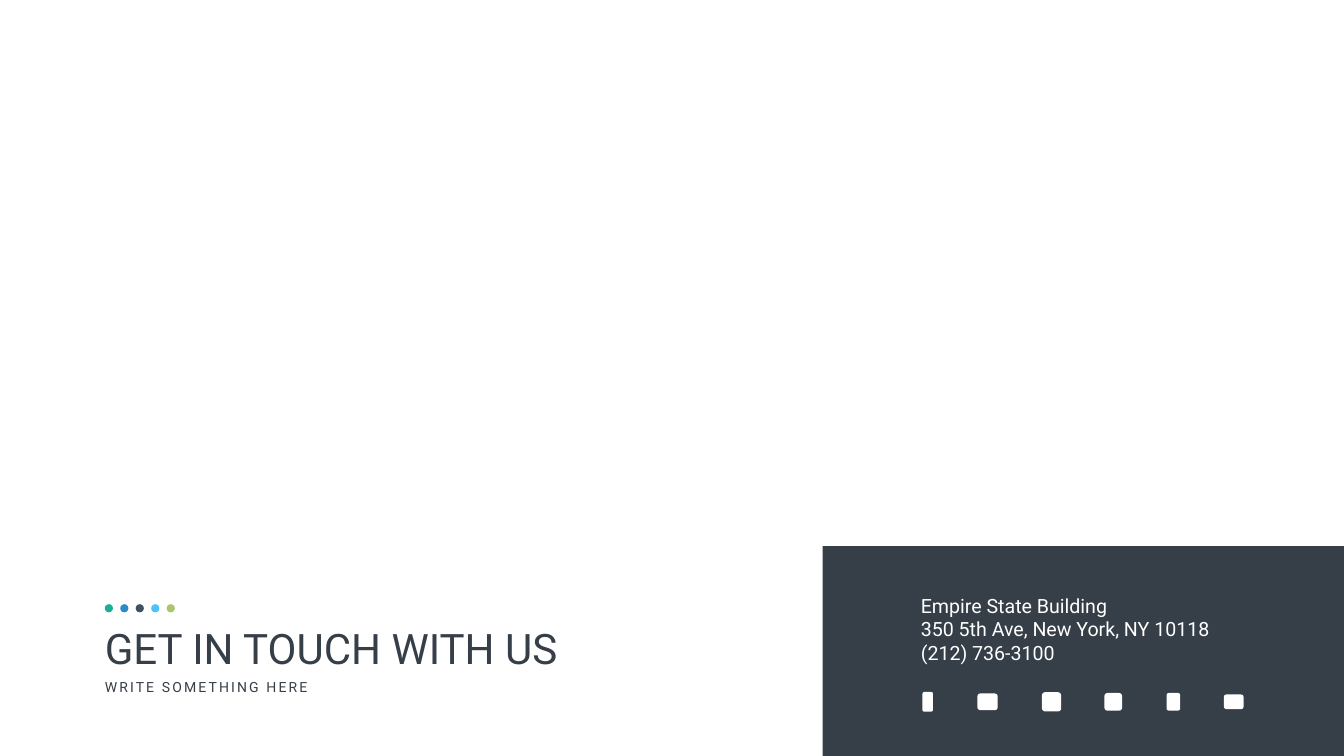
from pptx import Presentation
from pptx.dml.color import RGBColor
from pptx.enum.shapes import MSO_SHAPE
from pptx.util import Cm, Pt

DARK = "363E48"
WHITE = "FFFFFF"


def add_filled(kind, x, y, w, h, color):
    sp = s.shapes.add_shape(kind, Cm(x), Cm(y), Cm(w), Cm(h))
    sp.shadow.inherit = False
    sp.fill.solid()
    sp.fill.fore_color.rgb = RGBColor.from_string(color)
    sp.line.fill.background()


def add_text(x, y, w, h, lines, size, color, spacing=0, wrap=True):
    """Add a text box with one paragraph per line; spacing is in points."""
    tf = s.shapes.add_textbox(Cm(x), Cm(y), Cm(w), Cm(h)).text_frame
    tf.word_wrap = wrap
    for i, line in enumerate(lines):
        p = tf.add_paragraph() if i else tf.paragraphs[0]
        r = p.add_run()
        r.text = line
        r.font.name = "Roboto"
        r.font.size = Pt(size)
        r.font.color.rgb = RGBColor.from_string(color)
        if spacing:
            r.font._element.set("spc", str(spacing * 100))


prs = Presentation()
prs.slide_width = Cm(67.72)
prs.slide_height = Cm(38.1)
s = prs.slides.add_slide(prs.slide_layouts[6])
s.background.fill.solid()
s.background.fill.fore_color.rgb = RGBColor.from_string(WHITE)

# Contact panel
add_filled(MSO_SHAPE.RECTANGLE, 41.45, 27.53, 26.27, 10.57, DARK)

# Heading with its row of dots
add_text(5.03, 31.24, 23.67, 2.82, ["GET IN TOUCH WITH US"], 60, DARK)
add_text(5.03, 34.06, 11.05, 1.12, ["WRITE SOMETHING HERE"], 20, DARK,
         spacing=3, wrap=False)
for i, color in enumerate(["1CAD97", "2B8BC7", "425060", "4EC2F4", "AAC46F"]):
    add_filled(MSO_SHAPE.OVAL, 5.28 + i * 0.78, 30.45, 0.41, 0.41, color)

# Social links: plain markers centred on one line
icon_mid = 35.37
icons = [(46.48, 0.53, 0.99), (49.25, 1.02, 0.84), (52.5, 0.97, 0.97),
         (55.65, 0.89, 0.89), (58.78, 0.69, 0.89), (61.67, 0.99, 0.74)]
for x, w, h in icons:
    add_filled(MSO_SHAPE.ROUNDED_RECTANGLE, x, icon_mid - h / 2, w, h, WHITE)

# Address
address = ["Empire State Building", "350 5th Ave, New York, NY 10118",
           "(212) 736-3100"]
add_text(46.15, 29.79, 15.39, 3.84, address, 28, WHITE)

prs.save("out.pptx")
